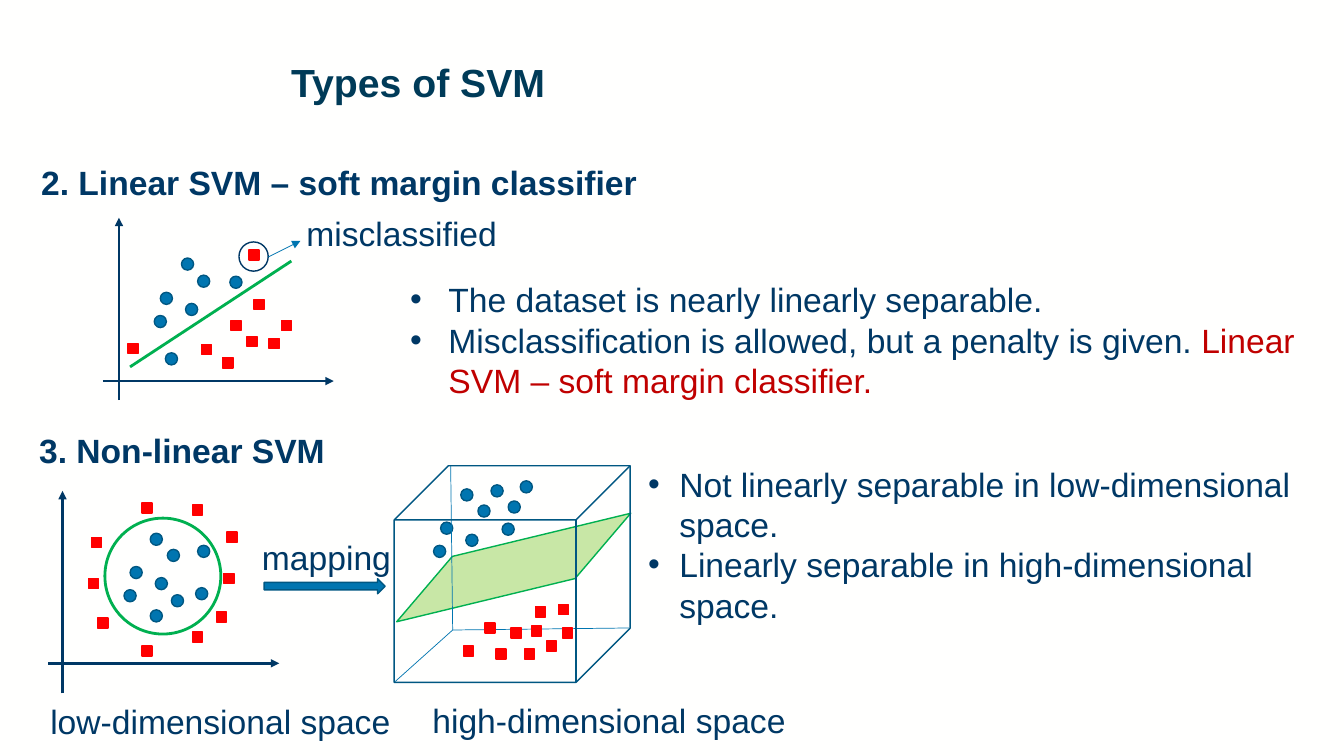
from dataclasses import dataclass

from pptx import Presentation
from pptx import util as u
from pptx.dml.color import RGBColor
from pptx.enum import shapes, text
from pptx.oxml import ns
from lxml import etree

PX = 9144


@dataclass(frozen=True)
class Theme:
    font: str = "Arial"
    title_size: int = 28
    body_size: int = 24
    background: str = "FFFFFE"
    title: str = "003B58"
    ink: str = "003865"
    accent: str = "C00000"
    blue: str = "0075B0"
    blue_edge: str = "005782"
    red: str = "FF0000"
    green: str = "00B050"
    plane: str = "92D050"


@dataclass(frozen=True)
class Box:
    left: int
    top: int
    width: int
    height: int

    def inner(self, left, top, width, height):
        return Box(self.left + left, self.top + top, width, height)

    def emu(self):
        return [value * PX for value in (self.left, self.top, self.width, self.height)]


THEME = Theme()
SHAPE = shapes.MSO_SHAPE


def color(name):
    return RGBColor.from_string(name)


def sub(parent, tag, **attributes):
    return etree.SubElement(parent, ns.qn(tag), attributes)


def add_shape(parent, kind, box, line, fill=None, weight=1):
    shape = parent.shapes.add_shape(kind, *box.emu())
    shape.shadow.inherit = False
    if fill:
        shape.fill.solid()
        shape.fill.fore_color.rgb = color(fill)
    else:
        shape.fill.background()
    shape.line.color.rgb = color(line)
    shape.line.width = u.Pt(weight)
    return shape


def add_line(slide, box, start, end, line, weight, arrow=False):
    points = [(origin + offset) * PX for point in (start, end)
              for origin, offset in zip((box.left, box.top), point)]
    connector = slide.shapes.add_connector(shapes.MSO_CONNECTOR.STRAIGHT, *points)
    connector.line.color.rgb = color(line)
    connector.line.width = u.Pt(weight)
    if arrow:
        sub(connector.line._get_or_add_ln(), "a:tailEnd", type="triangle")
    sub(connector._element.spPr, "a:effectLst")


def add_marks(slide, box, kind, points):
    group = slide.shapes.add_group_shape()
    size, fill, edge = {
        SHAPE.OVAL: (12, THEME.blue, THEME.blue_edge),
        SHAPE.RECTANGLE: (10, THEME.red, THEME.red),
    }[kind]
    for left, top in points:
        add_shape(group, kind, box.inner(left, top, size, size), edge, fill)


def add_axes(slide, box, origin_x, origin_y):
    add_line(slide, box, (0, origin_y), (box.width, origin_y), THEME.ink, 2, True)
    add_line(slide, box, (origin_x, box.height), (origin_x, 0), THEME.ink, 2, True)


def add_text(slide, box, paragraphs, bold=False, indent=0, ink=THEME.ink, size=THEME.body_size):
    frame = slide.shapes.add_textbox(*box.emu()).text_frame
    frame.word_wrap = True
    frame.auto_size = text.MSO_AUTO_SIZE.SHAPE_TO_FIT_TEXT
    for index, runs in enumerate(paragraphs):
        paragraph = frame.paragraphs[0] if index == 0 else frame.add_paragraph()
        if indent:
            properties = paragraph._p.get_or_add_pPr()
            properties.set("marL", str(indent * PX))
            properties.set("indent", str(-indent * PX))
            sub(properties, "a:buFont", typeface=THEME.font)
            sub(properties, "a:buChar", char="•")
        for content, run_color in runs:
            run = paragraph.add_run()
            run.text = content
            run.font.name = THEME.font
            run.font.size = u.Pt(size)
            run.font.bold = bold
            run.font.color.rgb = color(run_color or ink)
    return frame


def add_label(slide, box, content, **style):
    return add_text(slide, box, [[(content, None)]], **style)


def draw_title(slide, box):
    frame = add_label(slide, box, "Types of SVM", bold=True, ink=THEME.title, size=THEME.title_size)
    frame.auto_size = text.MSO_AUTO_SIZE.NONE
    frame.paragraphs[0].line_spacing = 0.9


def draw_soft_margin_plot(slide, box):
    add_marks(slide, box, SHAPE.RECTANGLE, [
        (127, 102), (143, 118), (165, 120), (98, 126), (177, 102),
        (150, 81), (119, 139), (145, 32), (25, 125)])
    add_marks(slide, box, SHAPE.OVAL, [
        (78, 40), (94, 57), (57, 74), (82, 85), (126, 58), (51, 97), (62, 134)])
    add_axes(slide, box, 16, 162)
    add_shape(slide, SHAPE.OVAL, box.inner(135, 24, 29, 29), THEME.ink)
    add_line(slide, box, (164, 39), (196, 23), THEME.blue, 0.5, True)
    add_label(slide, box.inner(192, -10, 243, 50), "misclassified")
    add_line(slide, box, (27, 148), (187, 43), THEME.green, 2)


def draw_low_dimensional_plot(slide, box):
    add_marks(slide, box, SHAPE.OVAL, [
        (101, 42), (118, 58), (81, 75), (106, 86), (148, 54),
        (75, 98), (101, 118), (122, 103), (146, 96)])
    add_marks(slide, box, SHAPE.RECTANGLE, [
        (43, 46), (167, 120), (40, 87), (93, 12), (143, 14),
        (174, 82), (143, 140), (177, 41), (49, 126), (93, 154)])
    add_axes(slide, box, 14, 171)
    add_shape(slide, SHAPE.OVAL, box.inner(56, 27, 115, 115), THEME.green, weight=2)
    add_label(slide, box.inner(-8, 203, 391, 50), "low-dimensional space")


def draw_mapping(slide, box):
    add_shape(slide, SHAPE.RIGHT_ARROW, box.inner(12, 46, 120, 15), THEME.blue_edge, THEME.blue)
    add_label(slide, box, "mapping")


def draw_high_dimensional_cube(slide, box):
    plane = add_shape(slide, SHAPE.PARALLELOGRAM, box.inner(-7, 76, 251, 50), THEME.green, THEME.plane)
    plane.adjustments[0] = 1.378
    plane.rotation = 346.4
    sub(plane._element.spPr.find(ns.qn("a:solidFill"))[0], "a:alpha", val="50000")
    add_label(slide, box.inner(28, 227, 449, 50), "high-dimensional space")
    add_marks(slide, box, SHAPE.OVAL, [
        (66, 23), (83, 39), (46, 56), (71, 68), (113, 35),
        (39, 79), (107, 57), (96, 19), (125, 15)])
    back_corner = (58, 163)
    for end in [(56, 0), (0, box.height), (box.width - 1, 161)]:
        add_line(slide, box, back_corner, end, THEME.blue, 0.5)
    add_shape(slide, SHAPE.CUBE, box, THEME.blue_edge)
    add_marks(slide, box, SHAPE.RECTANGLE, [
        (116, 161), (101, 182), (136, 159), (69, 179), (167, 161),
        (140, 140), (90, 156), (163, 138), (151, 174), (129, 182)])


def draw_soft_margin_section(slide, box):
    add_label(slide, box.inner(0, 0, 725, 50), "2. Linear SVM – soft margin classifier", bold=True)
    draw_soft_margin_plot(slide, box.inner(71, 60, 229, 181))
    add_text(slide, box.inner(366, 116, 900, 131), [
        [("The dataset is nearly linearly separable.", None)],
        [("Misclassification is allowed, but a penalty is given. ", None),
         ("Linear SVM – soft margin classifier.", THEME.accent)],
    ], indent=38)


def draw_non_linear_section(slide, box):
    add_label(slide, box.inner(0, 0, 316, 50), "3. Non-linear SVM", bold=True)
    draw_low_dimensional_plot(slide, box.inner(19, 65, 229, 201))
    add_text(slide, box.inner(604, 33, 707, 172), [
        [("Not linearly separable in low-dimensional space.", None)],
        [("Linearly separable in high-dimensional space.", None)],
    ], indent=31)
    draw_mapping(slide, box.inner(221, 106, 149, 50))
    draw_high_dimensional_cube(slide, box.inner(362, 40, 234, 215))


def main():
    presentation = Presentation()
    presentation.slide_width = 1333 * PX
    presentation.slide_height = 750 * PX
    slide = presentation.slides.add_slide(presentation.slide_layouts[6])
    slide.background.fill.solid()
    slide.background.fill.fore_color.rgb = color(THEME.background)
    draw_title(slide, Box(279, 58, 1007, 97))
    draw_soft_margin_section(slide, Box(31, 156, 1266, 247))
    draw_non_linear_section(slide, Box(29, 422, 1311, 317))
    presentation.save("out.pptx")


if __name__ == "__main__":
    main()
